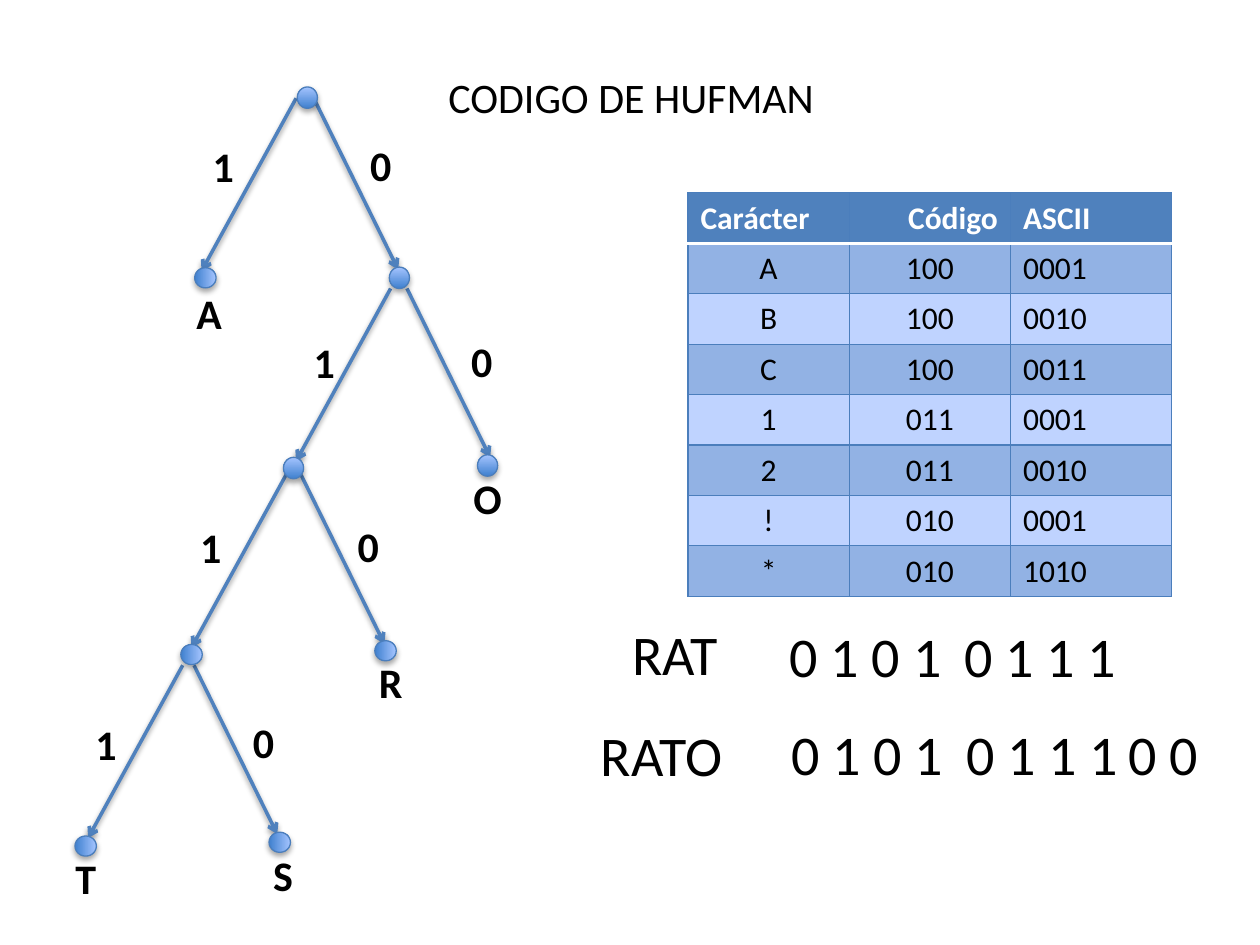
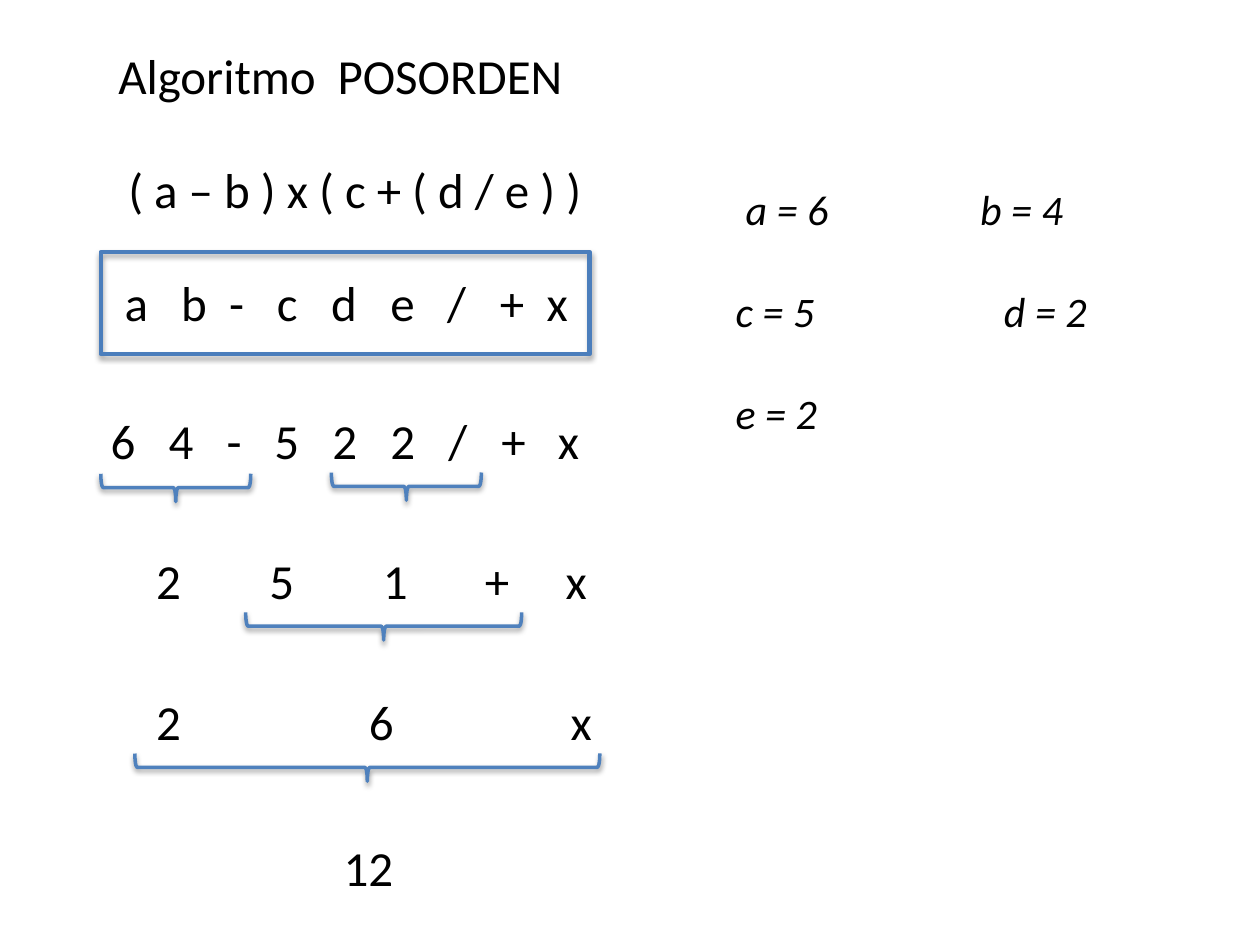
import pptx
import pptx.dml.color
import pptx.enum.shapes
import pptx.enum.text
import pptx.oxml
import pptx.oxml.ns
import pptx.util
from lxml import etree

INCH = 2.54
COLORS = {
    "text": "000000", "white": "FFFFFF", "accent": "4F81BD", "edge": "4B7EBC",
    "node_dark": "3F80CE", "node_light": "A4C4FF",
    "band": "92B2E4", "plain": "BFD3FF",
}
BASE = {"name": "Calibri", "bold": False, "italic": False}
LABEL = {**BASE, "size": pptx.util.Pt(24), "bold": True}
TITLE = {**BASE, "size": pptx.util.Pt(24)}
BITS = {**BASE, "size": pptx.util.Pt(32)}
FORMULA = {**BASE, "size": pptx.util.Pt(28)}
VALUES = {**BASE, "size": pptx.util.Pt(24), "italic": True}
CELL = {**BASE, "size": pptx.util.Pt(18)}
HEADER = {**CELL, "bold": True}
SHAPE = pptx.enum.shapes.MSO_SHAPE
ALIGN = pptx.enum.text.PP_ALIGN


def cm(*inches):
    """Return slide positions in inches as Cm lengths."""
    return [pptx.util.Cm(v * INCH) for v in inches]


def rgb(name):
    """Return the named colour."""
    return pptx.dml.color.RGBColor.from_string(COLORS[name])


def child(parent, tag, **attrs):
    """Append a DrawingML element to its parent."""
    return etree.SubElement(parent, pptx.oxml.ns.qn("a:" + tag),
                            {k: str(v) for k, v in attrs.items()})


def add_shadow(sp, alpha, dist):
    """Give a shape a soft shadow below it."""
    effects = child(sp._element.spPr, "effectLst")
    shadow = child(effects, "outerShdw", blurRad=40000, dist=dist,
                   dir=5400000, rotWithShape=0)
    color = child(shadow, "srgbClr", val=COLORS["text"])
    child(color, "alpha", val=alpha * 1000)


def set_line(sp, color, width):
    """Set the line colour and width of a shape."""
    sp.line.color.rgb = rgb(color)
    sp.line.width = pptx.util.Pt(width)


def write(p, text, style, color="text"):
    """Write one formatted run in a paragraph."""
    r = p.add_run()
    r.text = text
    for key, value in style.items():
        setattr(r.font, key, value)
    r.font.color.rgb = rgb(color)


def add_text(s, x, y, w, h, lines, style, stops=(), gap=0):
    """Add a text box; each line may use tab stops given in inches."""
    tf = s.shapes.add_textbox(*cm(x, y, w, h)).text_frame
    tf.word_wrap = True
    tf.auto_size = pptx.enum.text.MSO_AUTO_SIZE.SHAPE_TO_FIT_TEXT
    for i, line in enumerate([lines] if isinstance(lines, str) else lines):
        p = tf.add_paragraph() if i else tf.paragraphs[0]
        if i and gap:
            p.space_before = pptx.util.Pt(gap)
        if stops:
            tabs = child(p._p.get_or_add_pPr(), "tabLst")
            for pos in cm(*stops):
                child(tabs, "tab", pos=int(pos), algn="l")
        write(p, line, style)


def add_node(s, x, y, rotation):
    """Add a tree node."""
    sp = s.shapes.add_shape(SHAPE.OVAL, *cm(x, y, 0.16, 0.17))
    sp.rotation = rotation
    sp.fill.gradient()
    sp.fill.gradient_angle = 90
    for stop, name in zip(sp.fill.gradient_stops, ("node_dark", "node_light")):
        stop.color.rgb = rgb(name)
    set_line(sp, "edge", 0.75)
    add_shadow(sp, 35, 23000)


def add_arrow(s, x, y, dx, dy):
    """Add an arrow from a point by an offset."""
    sp = s.shapes.add_connector(pptx.enum.shapes.MSO_CONNECTOR.STRAIGHT,
                                *cm(x, y, x + dx, y + dy))
    set_line(sp, "accent", 2)
    child(sp.line._get_or_add_ln(), "tailEnd", type="arrow")
    add_shadow(sp, 38, 20000)


def add_branch(s, zero, one, label):
    """Add the 0 and 1 arrows below a node with their labels."""
    add_arrow(s, *zero, 0.66, 1.34)
    add_arrow(s, *one, -0.75, 1.37)
    x, y = label
    add_text(s, x, y, 0.54, 0.5, "0", LABEL)
    add_text(s, x - 1.25, y + 0.01, 0.67, 0.5, "1", LABEL)


def add_borders(cell, bottom):
    """Draw the four borders of a table cell."""
    edge = ("edge", 0.75)
    sides = {"lnL": edge, "lnR": edge, "lnT": edge, "lnB": bottom or edge}
    for side, (color, width) in sides.items():
        ln = child(cell._tc.get_or_add_tcPr(), side, w=int(pptx.util.Pt(width)))
        child(child(ln, "solidFill"), "srgbClr", val=COLORS[color])


def add_code_table(s, x, y, col_width, row_height, rows):
    """Add the character table with its header and banded rows."""
    size = cm(col_width * len(rows[0]), row_height * len(rows))
    table = s.shapes.add_table(len(rows), len(rows[0]), *cm(x, y), *size).table
    table.first_row = table.horz_banding = False
    head_align = (ALIGN.LEFT, ALIGN.RIGHT, ALIGN.LEFT)
    body_align = (ALIGN.CENTER, ALIGN.CENTER, ALIGN.LEFT)
    for i, row in enumerate(rows):
        fill = "accent" if i == 0 else "band" if i % 2 else "plain"
        for j, text in enumerate(row):
            cell = table.cell(i, j)
            add_borders(cell, None if i else ("white", 2))
            cell.fill.solid()
            cell.fill.fore_color.rgb = rgb(fill)
            p = cell.text_frame.paragraphs[0]
            p.alignment = (body_align if i else head_align)[j]
            write(p, text, CELL if i else HEADER, "text" if i else "white")


def add_brace(s, x, y, span):
    """Add a brace that points down under a span of text."""
    depth = 0.22
    sp = s.shapes.add_shape(
        SHAPE.LEFT_BRACE,
        *cm(x + (span - depth) / 2, y - (span - depth) / 2, depth, span))
    sp.rotation = 270
    sp.fill.background()
    set_line(sp, "accent", 2)
    add_shadow(sp, 38, 20000)


def add_frame(s, x, y, w, h):
    """Add an empty frame around a result."""
    sp = s.shapes.add_shape(SHAPE.RECTANGLE, *cm(x, y, w, h))
    sp.fill.background()
    set_line(sp, "edge", 2.5)
    add_shadow(sp, 35, 23000)


def build_huffman(s):
    """Build the code tree, the character table and the coded words."""
    branches = [
        ((2.5, 0.8), (2.35, 0.78), (2.84, 1.06)),
        ((3.23, 2.29), (3.1, 2.29), (3.64, 2.61)),
        ((2.39, 3.77), (2.27, 3.77), (2.74, 4.08)),
        ((1.54, 5.28), (1.45, 5.28), (1.91, 5.64)),
    ]
    for branch in branches:
        add_branch(s, *branch)
    nodes = [
        (2.36, 0.69, 0), (3.09, 2.12, 0), (2.25, 3.63, 0), (3.79, 3.61, 0),
        (1.55, 2.12, 90), (2.98, 5.08, 90), (1.44, 5.11, 90),
        (2.14, 6.6, 90), (0.6, 6.63, 90),
    ]
    for node in nodes:
        add_node(s, *node)
    leaves = {"A": (1.46, 2.23), "O": (3.66, 3.7), "R": (2.91, 5.16),
              "S": (2.07, 6.69), "T": (0.5, 6.72)}
    for letter, (x, y) in leaves.items():
        add_text(s, x, y, 0.67, 0.5, letter, LABEL)

    add_text(s, 3.46, 0.52, 3.55, 0.5, "CODIGO DE HUFMAN", TITLE)
    add_code_table(s, 5.46, 1.53, 1.28, 0.4, [
        ("Carácter", "Código", "ASCII"),
        ("A", "100", "0001"), ("B", "100", "0010"), ("C", "100", "0011"),
        ("1", "011", "0001"), ("2", "011", "0010"),
        ("!", "010", "0001"), ("*", "010", "1010"),
    ])
    add_text(s, 4.92, 4.87, 2.08, 0.64, "RAT", BITS)
    add_text(s, 4.67, 5.67, 2.08, 0.64, "RATO", BITS)
    bits = [(6.17, 1.16, "0 1 0"), (7.15, 0.47, "1"), (7.56, 1.44, "0 1 1 1")]
    for shift, y in ((0, 4.88), (0.01, 5.66)):
        for x, w, text in bits:
            add_text(s, x + shift, y, w, 0.64, text, BITS)
    add_text(s, 8.86, 5.66, 0.81, 0.64, "0 0", BITS)


def build_postorder(s):
    """Build the postorder evaluation, step by step."""
    steps = [
        (0.84, 0.31, 4.78, "Algoritmo\tPOSORDEN", (1.74,)),
        (0.92, 1.22, 4.94, "( a – b ) x ( c + ( d / e ) )", ()),
        (0.89, 2.11, 3.87, "a\tb\t-\tc\td\te\t/\t+\tx",
         (0.45, 0.83, 1.21, 1.64, 2.11, 2.56, 2.98, 3.35)),
        (0.78, 3.21, 4.01, "6\t4\t-\t5\t2\t2\t/\t+\tx",
         (0.46, 0.92, 1.3, 1.76, 2.22, 2.68, 3.1, 3.55)),
        (1.14, 4.32, 3.87, "2\t5\t1\t+\tx", (0.9, 1.8, 2.61, 3.25)),
        (1.14, 5.44, 3.87, "2\t6\tx", (1.69, 3.29)),
        (2.63, 6.6, 0.8, "12", ()),
    ]
    for x, y, w, text, stops in steps:
        add_text(s, x, y, w, 0.57, text, FORMULA, stops)
    add_text(s, 5.74, 1.41, 3.16, 2.12,
             ["\ta = 6\tb = 4"], VALUES, (0.08, 1.94))
    add_text(s, 5.74, 2.22, 3.16, 1.31,
             ["c = 5\td = 2", "e = 2"], VALUES, (2.13,), gap=29.3)
    add_frame(s, 0.8, 2, 3.88, 0.81)
    braces = [(0.8, 3.76, 1.19), (2.63, 3.75, 1.19),
              (1.95, 4.86, 2.19), (1.07, 5.98, 3.69)]
    for brace in braces:
        add_brace(s, *brace)


def main():
    """Build both slides and save the file."""
    prs = pptx.Presentation()
    prs.slide_width, prs.slide_height = cm(10, 7.5)
    for build in (build_huffman, build_postorder):
        build(prs.slides.add_slide(prs.slide_layouts[6]))
    prs.save("out.pptx")


if __name__ == "__main__":
    main()
